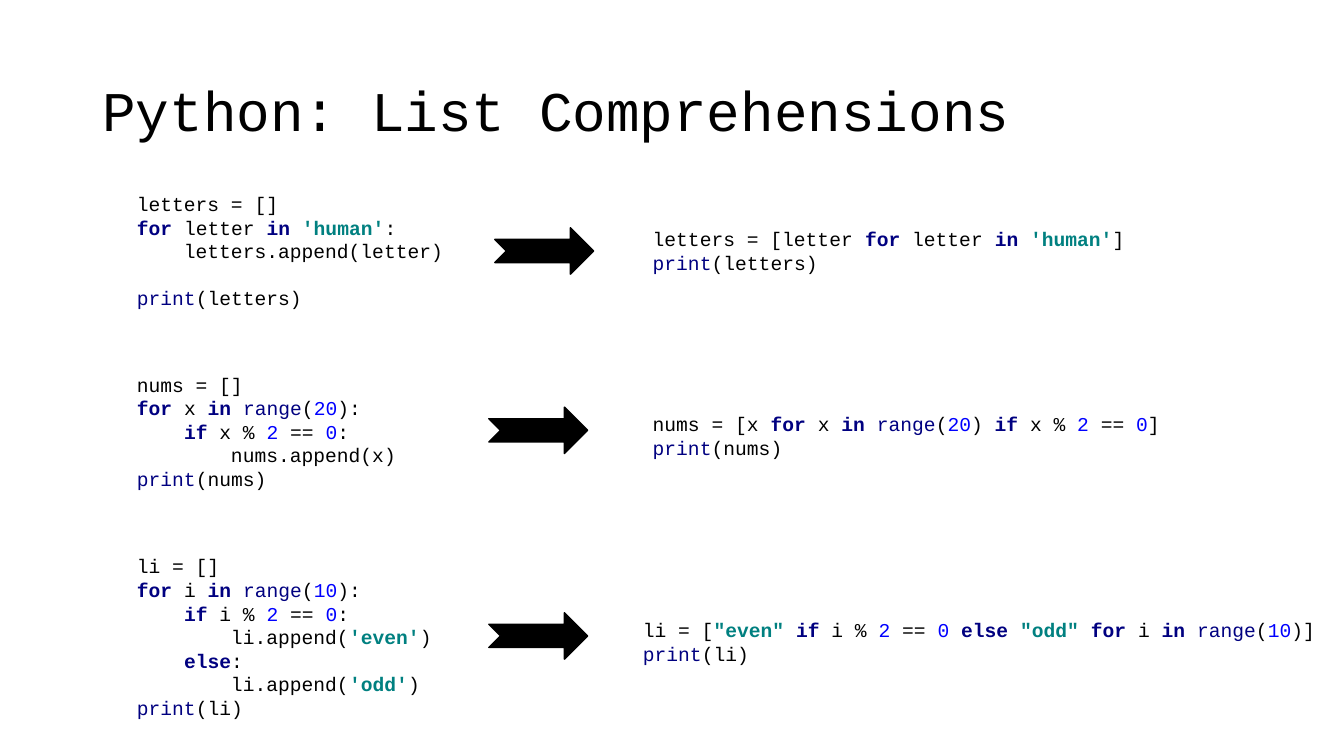
from dataclasses import dataclass
from itertools import groupby

from lxml.etree import SubElement
from pptx import Presentation
from pptx.dml.color import RGBColor
from pptx.enum.shapes import MSO_SHAPE
from pptx.enum.text import MSO_ANCHOR, MSO_AUTO_SIZE
from pptx.oxml.ns import qn
from pptx.util import Cm, Pt


@dataclass(frozen=True)
class Theme:
    font: str = "Courier New"
    title_size: int = 40
    code_size: int = 14
    plain: RGBColor = RGBColor(0x00, 0x00, 0x00)
    paper: RGBColor = RGBColor(0xFF, 0xFF, 0xFF)
    keyword: RGBColor = RGBColor(0x00, 0x00, 0x80)
    string: RGBColor = RGBColor(0x00, 0x80, 0x80)
    number: RGBColor = RGBColor(0x00, 0x00, 0xFF)


theme = Theme()
keywords = {"for", "in", "if", "else"}
builtins = {"print", "range"}


def add_span(para, text, size, color, bold=False):
    span = para.add_run()
    span.text = text
    span.font.name = theme.font
    span.font.size = Pt(size)
    span.font.bold = bold
    span.font.color.rgb = color


def add_code(page, left, top, width, height, code):
    box = page.shapes.add_textbox(Cm(left), Cm(top), Cm(width), Cm(height))
    box.fill.solid()
    box.fill.fore_color.rgb = theme.paper
    frame = box.text_frame
    frame.word_wrap = False
    frame.auto_size = MSO_AUTO_SIZE.SHAPE_TO_FIT_TEXT
    frame.vertical_anchor = MSO_ANCHOR.MIDDLE
    para = frame.paragraphs[0]
    for index, line in enumerate(code.split("\n")):
        if index:
            para.add_line_break()
            break_font = SubElement(para._p[-1], qn("a:rPr"), sz=str(theme.code_size * 100))
            SubElement(break_font, qn("a:latin"), typeface=theme.font)
        for _, letters in groupby(line, lambda letter: letter.isalnum() or letter in "'\""):
            token = "".join(letters)
            color = theme.plain
            if token in keywords | builtins:
                color = theme.keyword
            elif token[0] in "'\"":
                color = theme.string
            elif token.isdigit():
                color = theme.number
            bold = token in keywords or color == theme.string
            add_span(para, token, theme.code_size, color, bold)


deck = Presentation()
deck.slide_width = Cm(33.87)
deck.slide_height = Cm(19.05)
page = deck.slides.add_slide(deck.slide_layouts[6])

title_box = page.shapes.add_textbox(Cm(2.33), Cm(1.01), Cm(29.21), Cm(3.68))
title_box.text_frame.word_wrap = True
title_box.text_frame.vertical_anchor = MSO_ANCHOR.MIDDLE
title_para = title_box.text_frame.paragraphs[0]
title_para.line_spacing = 0.9
add_span(title_para, "Python: List Comprehensions", theme.title_size, theme.plain)

loops = [
    (4.7, 8.28, 3.25,
     "letters = []\n"
     "for letter in 'human':\n"
     "    letters.append(letter)\n"
     "\n"
     "print(letters)"),
    (9.25, 7.09, 3.25,
     "nums = []\n"
     "for x in range(20):\n"
     "    if x % 2 == 0:\n"
     "        nums.append(x)\n"
     "print(nums)"),
    (13.82, 7.98, 4.45,
     "li = []\n"
     "for i in range(10):\n"
     "    if i % 2 == 0:\n"
     "        li.append('even')\n"
     "    else:\n"
     "        li.append('odd')\n"
     "print(li)"),
]
for top, width, height, code in loops:
    add_code(page, 3.2, top, width, height, code)

comprehensions = [
    (16.2, 5.59, 12.45,
     "letters = [letter for letter in 'human']\n"
     "print(letters)"),
    (16.2, 10.26, 13.34,
     "nums = [x for x in range(20) if x % 2 == 0]\n"
     "print(nums)"),
    (15.95, 15.44, 17.53,
     'li = ["even" if i % 2 == 0 else "odd" for i in range(10)]\n'
     "print(li)"),
]
for left, top, width, code in comprehensions:
    add_code(page, left, top, width, 1.45, code)

for left, top in [(12.47, 5.74), (12.32, 10.26), (12.32, 15.44)]:
    arrow = page.shapes.add_shape(
        MSO_SHAPE.NOTCHED_RIGHT_ARROW, Cm(left), Cm(top), Cm(2.49), Cm(1.17)
    )
    arrow.shadow.inherit = False
    arrow.fill.solid()
    arrow.fill.fore_color.rgb = theme.plain
    arrow.line.color.rgb = theme.plain
    arrow.line.width = Pt(1)

deck.save("out.pptx")
